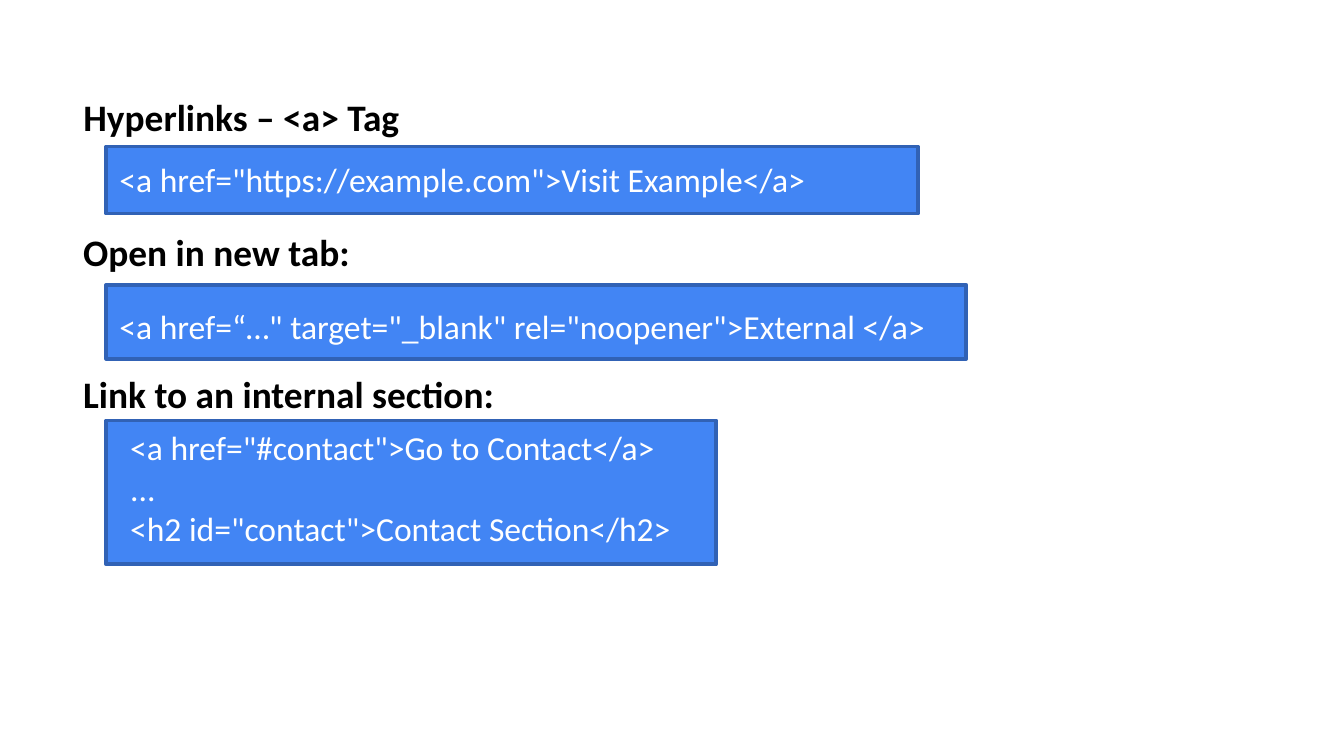
from dataclasses import dataclass

from pptx import Presentation
from pptx.dml.color import RGBColor
from pptx.enum.shapes import MSO_SHAPE as Preset
from pptx.enum.text import MSO_ANCHOR as Anchor, MSO_AUTO_SIZE as AutoSize, PP_ALIGN as Align
from pptx.shapes.autoshape import Shape
from pptx.slide import Slide
from pptx.util import Inches, Pt


@dataclass(frozen=True)
class Theme:
    font: str = "Calibri"
    heading_size: int = 20
    code_size: int = 18
    line_width: int = 2
    heading_color: RGBColor = RGBColor(0x00, 0x00, 0x00)
    code_color: RGBColor = RGBColor(0xFF, 0xFF, 0xFF)
    panel_fill: RGBColor = RGBColor(0x42, 0x85, 0xF4)
    panel_line: RGBColor = RGBColor(0x31, 0x62, 0xB5)


@dataclass(frozen=True)
class Area:
    left: float
    top: float
    width: float
    height: float

    def lengths(self) -> tuple[Inches, Inches, Inches, Inches]:
        return Inches(self.left), Inches(self.top), Inches(self.width), Inches(self.height)


@dataclass(frozen=True)
class Example:
    heading: str
    heading_area: Area
    panel_area: Area
    code: str
    code_area: Area


THEME = Theme()
PAGE_WIDTH = Inches(10)
PAGE_HEIGHT = PAGE_WIDTH * 9 // 16
HEADING_LEFT = 0.52
HEADING_HEIGHT = 0.44
PANEL_LEFT = 0.79

EXAMPLES = [
    Example(
        "Hyperlinks – <a> Tag",
        Area(HEADING_LEFT, 0.65, 6.4, HEADING_HEIGHT),
        Area(PANEL_LEFT, 1.09, 6.04, 0.5),
        '<a href="https://example.com">Visit Example</a>',
        Area(PANEL_LEFT, 1.13, 5.49, 0.4),
    ),
    Example(
        "Open in new tab:",
        Area(HEADING_LEFT, 1.66, 3.43, HEADING_HEIGHT),
        Area(PANEL_LEFT, 2.12, 6.4, 0.55),
        '<a href=“…" target="_blank" rel="noopener">External </a>',
        Area(PANEL_LEFT, 2.23, 6.27, 0.4),
    ),
    Example(
        "Link to an internal section:",
        Area(HEADING_LEFT, 2.71, 5.25, HEADING_HEIGHT),
        Area(PANEL_LEFT, 3.13, 4.54, 1.07),
        '<a href="#contact">Go to Contact</a>\n...\n<h2 id="contact">Contact Section</h2>',
        Area(0.87, 3.13, 4.54, 1.01),
    ),
]


def write_text(box: Shape, text: str, size: int, color: RGBColor, bold: bool) -> None:
    frame = box.text_frame
    frame.text = text
    frame.word_wrap = True
    frame.auto_size = AutoSize.SHAPE_TO_FIT_TEXT
    frame.vertical_anchor = Anchor.TOP
    for para in frame.paragraphs:
        para.alignment = Align.LEFT
        for span in para.runs:
            span.font.name = THEME.font
            span.font.size = Pt(size)
            span.font.bold = bold
            span.font.color.rgb = color


def write_heading(box: Shape, text: str) -> None:
    write_text(box, text, THEME.heading_size, THEME.heading_color, True)


def place_title(page: Slide, example: Example) -> None:
    title = page.shapes.title
    title.left, title.top, title.width, title.height = example.heading_area.lengths()
    write_heading(title, example.heading)


def draw_heading(page: Slide, example: Example) -> None:
    box = page.shapes.add_textbox(*example.heading_area.lengths())
    write_heading(box, example.heading)


def draw_code(page: Slide, example: Example) -> None:
    panel = page.shapes.add_shape(Preset.RECTANGLE, *example.panel_area.lengths())
    panel.shadow.inherit = False
    panel.fill.solid()
    panel.fill.fore_color.rgb = THEME.panel_fill
    panel.line.color.rgb = THEME.panel_line
    panel.line.width = Pt(THEME.line_width)
    box = page.shapes.add_textbox(*example.code_area.lengths())
    write_text(box, example.code, THEME.code_size, THEME.code_color, False)


def main() -> None:
    deck = Presentation()
    deck.slide_width = PAGE_WIDTH
    deck.slide_height = PAGE_HEIGHT
    title_only = deck.slide_layouts.get_by_name("Title Only")
    page = deck.slides.add_slide(title_only)
    first, *others = EXAMPLES
    place_title(page, first)
    draw_code(page, first)
    for example in others:
        draw_heading(page, example)
        draw_code(page, example)
    deck.save("out.pptx")


if __name__ == "__main__":
    main()
